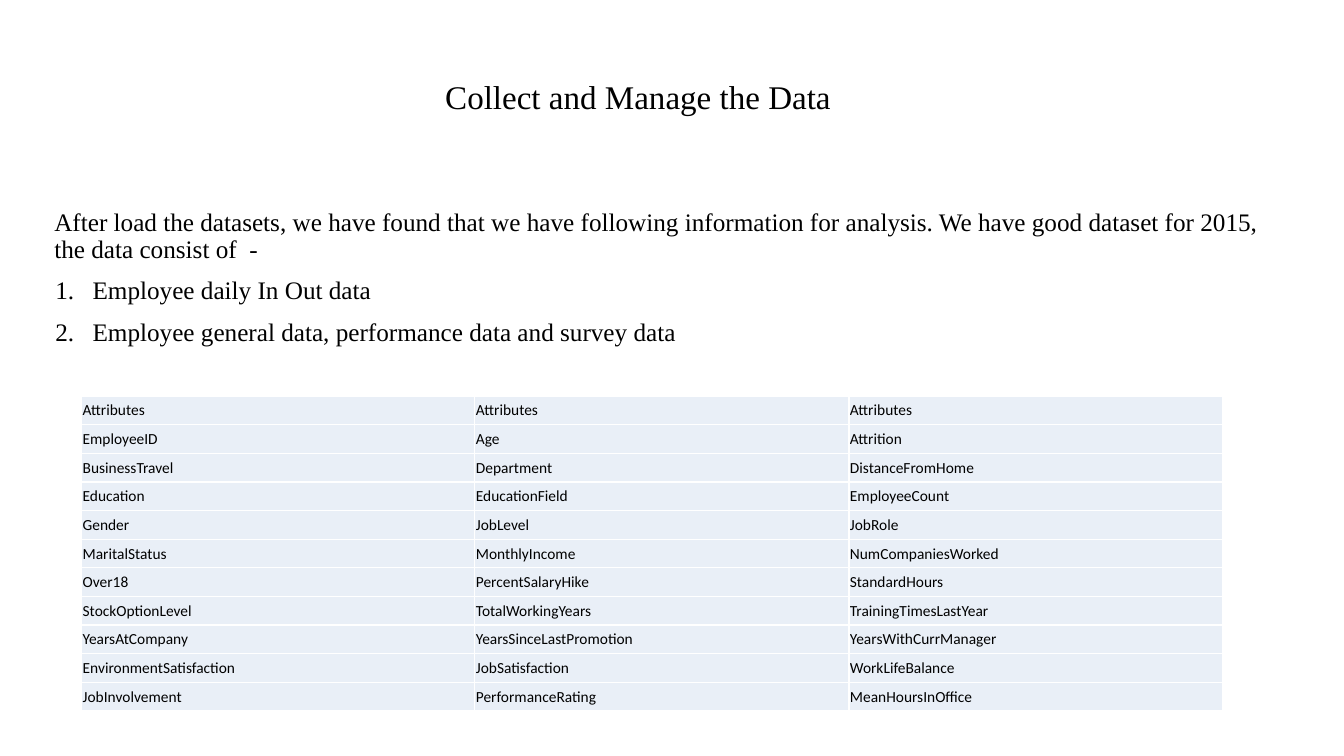
from lxml import etree
from pptx import Presentation
from pptx.dml.color import RGBColor
from pptx.enum.text import MSO_ANCHOR, PP_ALIGN
from pptx.oxml.ns import qn
from pptx.util import Inches, Pt

CENTER = PP_ALIGN.CENTER
LEFT = PP_ALIGN.LEFT
TOP = MSO_ANCHOR.TOP
MIDDLE = MSO_ANCHOR.MIDDLE
BLACK = RGBColor(0x00, 0x00, 0x00)
WHITE = RGBColor(0xFF, 0xFF, 0xFF)
PALE = RGBColor(0xE9, 0xEF, 0xF7)
SERIF = "Times New Roman"
SANS = "Calibri"

TITLE = "Collect and Manage the Data"
INTRO = (
    "After load the datasets, we have found that we have following information "
    "for analysis. We have good dataset for 2015, the data consist of  -"
)
ITEMS = [
    "Employee daily In Out data",
    "Employee general data, performance data and survey data",
]
ROWS = [
    ("Attributes", "Attributes", "Attributes"),
    ("EmployeeID", "Age", "Attrition"),
    ("BusinessTravel", "Department", "DistanceFromHome"),
    ("Education", "EducationField", "EmployeeCount"),
    ("Gender", "JobLevel", "JobRole"),
    ("MaritalStatus", "MonthlyIncome", "NumCompaniesWorked"),
    ("Over18", "PercentSalaryHike", "StandardHours"),
    ("StockOptionLevel", "TotalWorkingYears", "TrainingTimesLastYear"),
    ("YearsAtCompany", "YearsSinceLastPromotion", "YearsWithCurrManager"),
    ("EnvironmentSatisfaction", "JobSatisfaction", "WorkLifeBalance"),
    ("JobInvolvement", "PerformanceRating", "MeanHoursInOffice"),
]
WIDTHS = [3.9, 3.71, 3.71]
ROW_H = 0.28


def apply(obj, form):
    """Set every attribute named in form on obj."""
    for name, value in form.items():
        setattr(obj, name, value)


class Page:
    def __init__(self, slide):
        self.slide = slide

    def label(self, para, text, size, face):
        """Add a styled run to a paragraph."""
        run = para.add_run()
        run.text = text
        apply(run.font, {"size": Pt(size), "name": face})
        run.font.color.rgb = BLACK

    def box(self, place, lines, size, form, align=LEFT, before=0):
        """Add a text box and return its paragraphs."""
        shape = self.slide.shapes.add_textbox(*map(Inches, place))
        frame = shape.text_frame
        apply(frame, {"word_wrap": True, **form})
        for num, text in enumerate(lines):
            para = frame.add_paragraph() if num else frame.paragraphs[0]
            apply(para, {"alignment": align, "line_spacing": 0.9,
                         "space_before": Pt(before)})
            self.label(para, text, size, SERIF)
        return frame.paragraphs

    def number(self, para):
        """Turn a paragraph into a numbered item with a hanging indent."""
        props = para._p.get_or_add_pPr()
        props.set("marL", str(Inches(0.38)))
        props.set("indent", str(Inches(-0.37)))
        color = etree.SubElement(props, qn("a:buClr"))
        etree.SubElement(color, qn("a:srgbClr"), val=str(BLACK))
        etree.SubElement(props, qn("a:buAutoNum"), type="arabicPeriod")

    def border(self, cell):
        props = cell._tc.get_or_add_tcPr()
        for spot, side in enumerate(("lnL", "lnR", "lnT", "lnB")):
            line = etree.Element(qn("a:" + side), w=str(Pt(0.96)))
            fill = etree.SubElement(line, qn("a:solidFill"))
            etree.SubElement(fill, qn("a:srgbClr"), val=str(WHITE))
            props.insert(spot, line)

    def table(self, left, top, rows, widths, high):
        size = map(Inches, (left, top, sum(widths), high * len(rows)))
        grid = self.slide.shapes.add_table(len(rows), len(widths), *size).table
        apply(grid, {"first_row": False, "horz_banding": False})
        for col, width in zip(grid.columns, widths):
            col.width = Inches(width)
        for row, texts in zip(grid.rows, rows):
            row.height = Inches(high)
            for cell, text in zip(row.cells, texts):
                apply(cell, {"margin_left": Inches(0.01),
                             "margin_right": Inches(0.01)})
                cell.fill.solid()
                cell.fill.fore_color.rgb = PALE
                self.border(cell)
                self.label(cell.text_frame.paragraphs[0], text, 11, SANS)


def main():
    deck = Presentation()
    apply(deck, {"slide_width": Inches(13.33), "slide_height": Inches(7.5)})
    page = Page(deck.slides.add_slide(deck.slide_layouts[6]))
    page.box((1.24, 0.7, 10.18, 0.94), [TITLE], 23.6,
             {"vertical_anchor": MIDDLE, "margin_bottom": Inches(0.43)}, CENTER)
    paras = page.box((0.44, 2.03, 12.21, 1.51), [INTRO, *ITEMS], 18,
                     {"vertical_anchor": TOP}, before=10)
    for para in paras[1:]:
        page.number(para)
    page.table(0.81, 3.93, ROWS, WIDTHS, ROW_H)
    deck.save("out.pptx")


if __name__ == "__main__":
    main()
